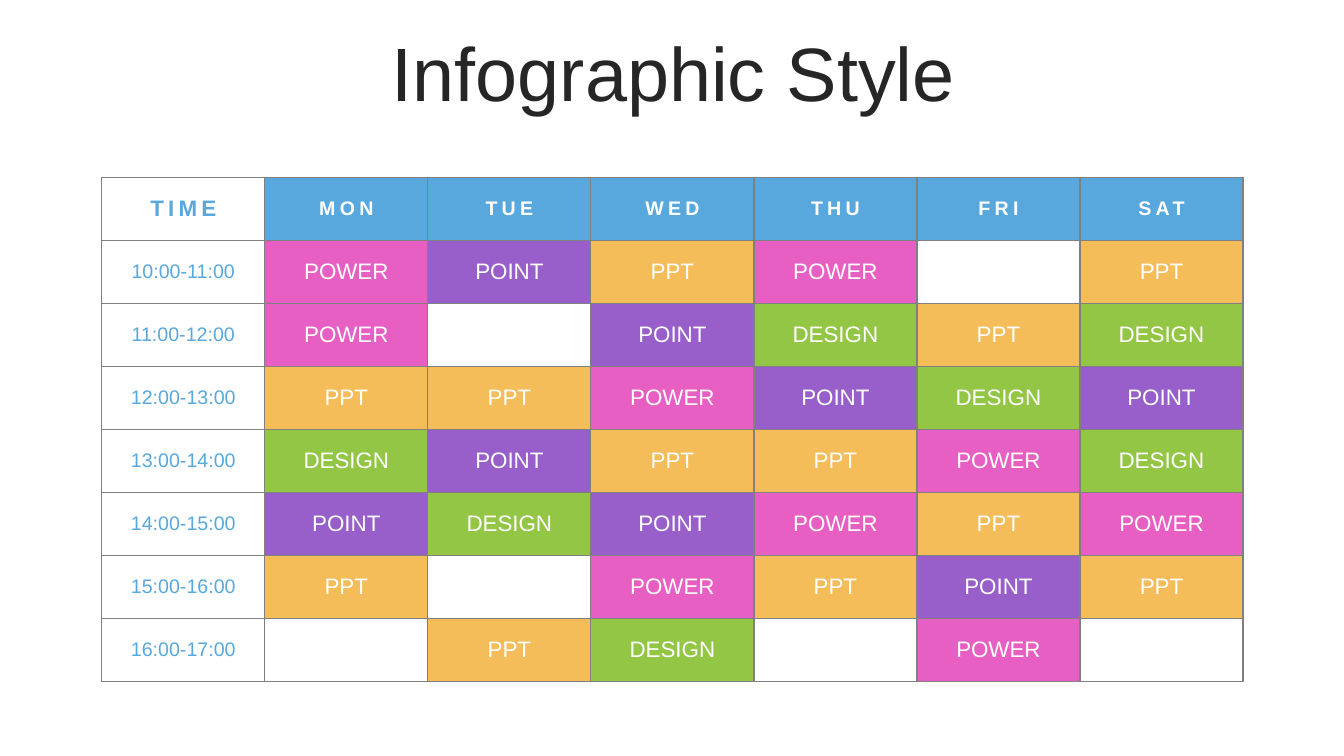
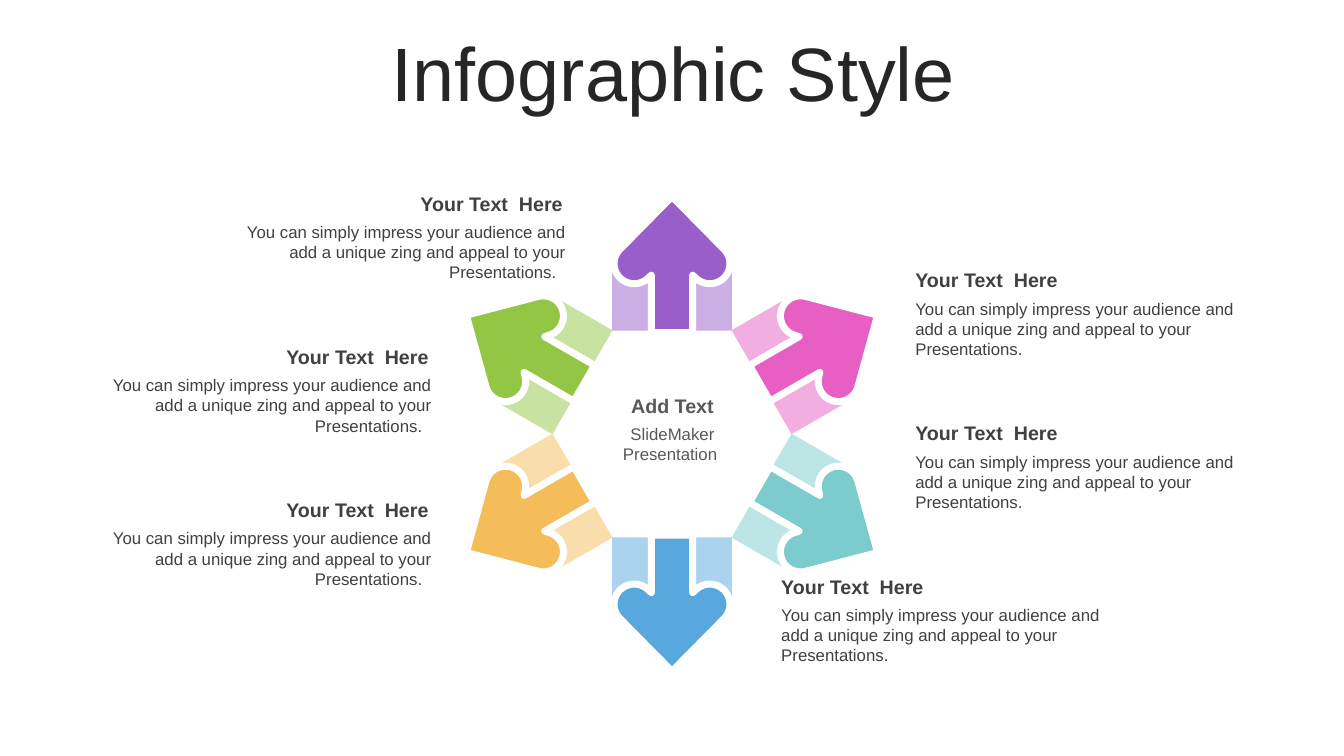
from math import cos, radians, sin

from lxml import etree
from pptx import Presentation
from pptx.dml.color import RGBColor
from pptx.enum.shapes import MSO_SHAPE
from pptx.enum.text import MSO_ANCHOR, MSO_AUTO_SIZE, PP_ALIGN
from pptx.oxml import parse_xml
from pptx.oxml.ns import nsdecls, qn
from pptx.util import Pt

SCALE = 9144
RECT = MSO_SHAPE.RECTANGLE
MIDDLE = MSO_ANCHOR.MIDDLE
FIXED, GROW = MSO_AUTO_SIZE.NONE, MSO_AUTO_SIZE.SHAPE_TO_FIT_TEXT
LEFT, CENTER, RIGHT = PP_ALIGN.LEFT, PP_ALIGN.CENTER, PP_ALIGN.RIGHT

WHITE = RGBColor(0xFF, 0xFF, 0xFF)
INK = RGBColor(0x26, 0x26, 0x26)
DARK = RGBColor(0x40, 0x40, 0x40)
GREY = RGBColor(0x59, 0x59, 0x59)
RULE = RGBColor(0x80, 0x80, 0x80)
BLUE = RGBColor(0x58, 0xA8, 0xDD)
PINK = RGBColor(0xE8, 0x5F, 0xC4)
PURPLE = RGBColor(0x98, 0x5E, 0xCA)
AMBER = RGBColor(0xF4, 0xBD, 0x59)
GREEN = RGBColor(0x92, 0xC6, 0x44)
TEAL = RGBColor(0x7C, 0xCC, 0xCD)

TITLE = "Infographic Style"
HEAD = "Your Text  Here"
BLURB = ("You can simply impress your audience and add a unique zing "
         "and appeal to your Presentations.")
DAYS = "TIME MON TUE WED THU FRI SAT".split()
FILLS = {"POWER": PINK, "POINT": PURPLE, "PPT": AMBER, "DESIGN": GREEN, "-": WHITE}
PLAN = [
    "POWER POINT PPT POWER - PPT",
    "POWER - POINT DESIGN PPT DESIGN",
    "PPT PPT POWER POINT DESIGN POINT",
    "DESIGN POINT PPT PPT POWER DESIGN",
    "POINT DESIGN POINT POWER PPT POWER",
    "PPT - POWER PPT POINT PPT",
    "- PPT DESIGN - POWER -",
]


def px(size):
    """Turn px into EMU."""
    return round(size * SCALE)


def put(item, **values):
    """Set each given value as an attribute."""
    for name, value in values.items():
        setattr(item, name, value)


def turn(x, y, angle):
    """Rotate a point clockwise about the origin."""
    c, s = cos(radians(angle)), sin(radians(angle))
    return x * c - y * s, x * s + y * c


def arrow():
    """Return the outline of an upward arrow about the ring's centre."""
    bulb = [(37.5 + 20 * cos(radians(a)), -169 + 20 * sin(radians(a)))
            for a in range(-45, 136, 10)]
    half = bulb + [(20.5, -157.5), (20.5, -100.5)]
    return [(0, -235.5)] + half + [(-x, y) for x, y in reversed(half)]


class Deck:
    """Holds the shared style and the current slide."""

    def __init__(self):
        """Start an empty wide deck."""
        self.prs = Presentation()
        put(self.prs, slide_width=px(1333), slide_height=px(750))
        self.shapes = None

    def page(self, title):
        """Add a slide with its title."""
        slide = self.prs.slides.add_slide(self.prs.slide_layouts[5])
        self.shapes = slide.shapes
        box = self.shapes.title
        put(box, left=px(35), top=px(37), width=px(1266), height=px(79))
        put(box.text_frame, vertical_anchor=MIDDLE, word_wrap=True, auto_size=FIXED)
        self.style(box.text_frame, title, 54, INK, CENTER)
        box.text_frame.paragraphs[0].line_spacing = 0.9

    def style(self, frame, text, size, color, align, bold=False, gap=0):
        """Fill a frame with one styled paragraph."""
        para = frame.paragraphs[0]
        para.alignment = align
        run = para.add_run()
        run.text = text
        put(run.font, name="Arial", size=Pt(size), bold=bold)
        run.font.color.rgb = color
        if gap:
            run.font._element.set("spc", str(gap * 100))

    def text(self, x, y, w, h, text, size, color, align, bold=False):
        """Add a wrapped text box."""
        frame = self.shapes.add_textbox(px(x), px(y), px(w), px(h)).text_frame
        put(frame, word_wrap=True, auto_size=GROW)
        self.style(frame, text, size, color, align, bold)

    def band(self, mid, size, angle, color):
        """Add a half clear rectangle turned about its middle."""
        (x, y), (w, h) = mid, size
        shape = self.shapes.add_shape(RECT, px(x - w / 2), px(y - h / 2), px(w), px(h))
        shape.rotation = angle
        self.paint(shape, color)
        shape.line.fill.background()
        tint = shape.element.spPr.find(".//" + qn("a:srgbClr"))
        etree.SubElement(tint, qn("a:alpha"), val="50000")

    def shape(self, points, color):
        """Add a closed outline with a white edge."""
        spots = [(px(x), px(y)) for x, y in points]
        form = self.shapes.build_freeform(*spots[0], scale=1.0)
        form.add_line_segments(spots[1:], close=True)
        shape = form.convert_to_shape()
        self.paint(shape, color)
        shape.line.color.rgb = WHITE
        shape.line.width = Pt(5)

    def paint(self, shape, color):
        """Give a shape a flat fill."""
        shape.shadow.inherit = False
        shape.fill.solid()
        shape.fill.fore_color.rgb = color

    def grid(self, x, y, w, h, rows, cols):
        """Add a plain table."""
        table = self.shapes.add_table(rows, cols, px(x), px(y), px(w), px(h)).table
        put(table, first_row=False, horz_banding=False)
        return table

    def cell(self, cell, text, fill, size, color, bold=False, gap=0):
        """Style one ruled table cell."""
        put(cell, vertical_anchor=MIDDLE, margin_left=0, margin_right=0,
            margin_top=0, margin_bottom=0)
        cell.fill.solid()
        cell.fill.fore_color.rgb = fill
        props = cell._tc.get_or_add_tcPr()
        for spot, side in enumerate("LRTB"):
            props.insert(spot, parse_xml(
                f'<a:ln{side} {nsdecls("a")} w="12700"><a:solidFill>'
                f'<a:srgbClr val="{RULE}"/></a:solidFill></a:ln{side}>'))
        if text:
            self.style(cell.text_frame, text, size, color, CENTER, bold, gap)


def week(deck):
    """Build the timetable slide."""
    deck.page(TITLE)
    table = deck.grid(101, 176, 1132, 500, len(PLAN) + 1, len(DAYS))
    for col, day in enumerate(DAYS):
        fill, size, color = (BLUE, 14, WHITE) if col else (WHITE, 16, BLUE)
        deck.cell(table.cell(0, col), day, fill, size, color, True, 3)
    for row, line in enumerate(PLAN, 1):
        hour = row + 9
        deck.cell(table.cell(row, 0), f"{hour}:00-{hour + 1}:00", WHITE, 14, BLUE)
        for col, word in enumerate(line.split(), 1):
            deck.cell(table.cell(row, col), word.strip("-"), FILLS[word], 16, WHITE)


def ring(deck):
    """Build the slide with a ring of arrows."""
    deck.page(TITLE)
    hub_x, hub_y = 666.5, 430.5
    for step, color in enumerate((PURPLE, PINK, TEAL, BLUE, AMBER, GREEN)):
        angle = step * 60
        spots = [(hub_x + x, hub_y + y) for x, y in
                 (turn(*spot, angle) for spot in [(0, -134)] + arrow())]
        deck.band(spots[0], (119, 63), angle, color)
        deck.shape(spots[1:], color)
    deck.text(597, 386, 140, 34, "Add Text", 14, GREY, CENTER, True)
    deck.text(597, 415, 140, 50, "SlideMaker Presentation ", 12, GREY, CENTER)
    sides = (((213, 80, 80), 185, RIGHT, "  "), ((898, 898, 765), 261, LEFT, ""))
    for lefts, top, align, tail in sides:
        for step, x in enumerate(lefts):
            y = top + step * 152
            deck.text(x, y + 30, 358, 71, BLURB + tail, 12, DARK, align)
            deck.text(x, y, 355, 34, HEAD, 14, DARK, align, True)


def main():
    """Build and save the deck."""
    deck = Deck()
    week(deck)
    ring(deck)
    deck.prs.save("out.pptx")


if __name__ == "__main__":
    main()
